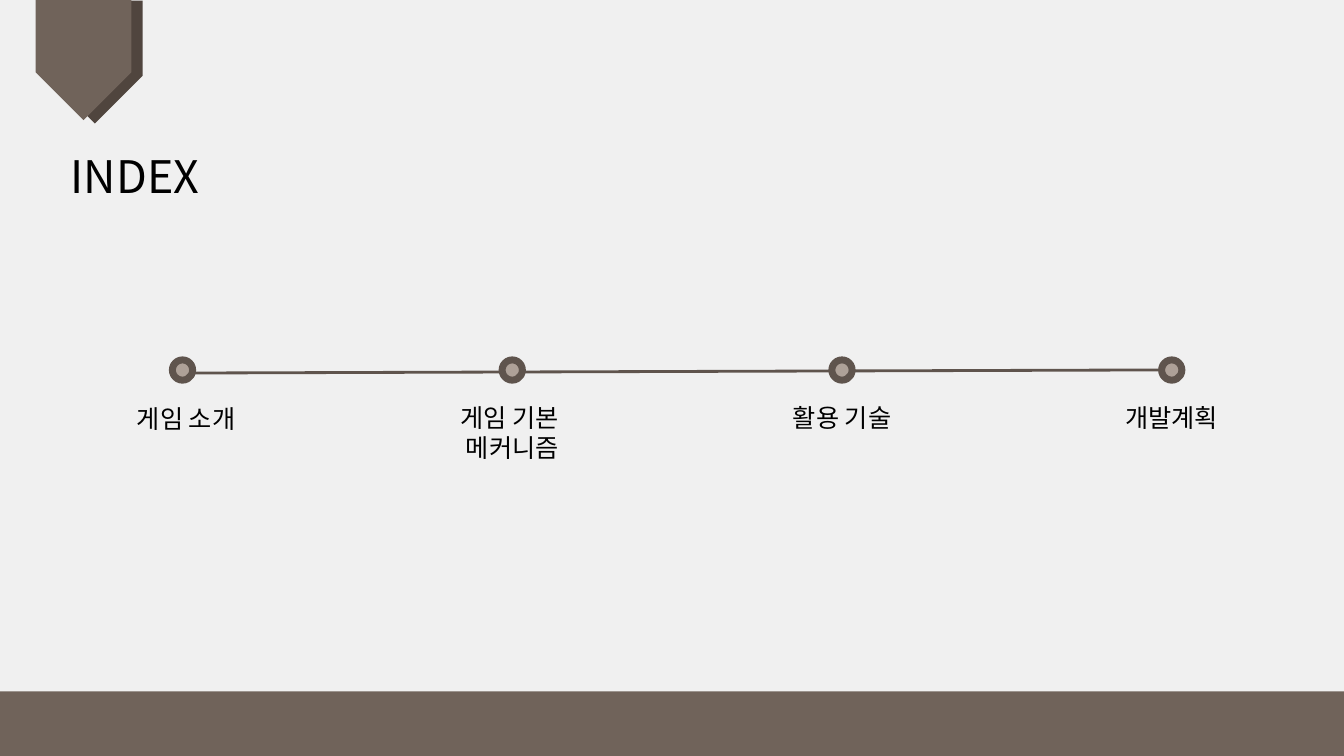
import dataclasses

import lxml.etree
import pptx
import pptx.dml.color
import pptx.enum.shapes
import pptx.enum.text
import pptx.oxml.ns
import pptx.util

Cm = pptx.util.Cm
Pt = pptx.util.Pt
Shape = pptx.enum.shapes.MSO_SHAPE


@dataclasses.dataclass(frozen=True)
class Theme:
    font: str = "Noto Sans CJK KR"
    background: str = "F0F0F0"
    brown: str = "70635A"
    ribbon_shade: str = "50453E"
    timeline: str = "5F544D"
    marker: str = "AEA198"
    text: str = "000000"
    title_size: int = 32
    label_size: int = 18
    line_width: int = 2
    marker_outline: int = 5


THEME = Theme()
MARKER_SIZE = 0.51
FIRST_CENTRE = 4.6
CENTRE_STEP = 8.31
MARKER_TOP = 9.07
TOPICS = [
    (["게임 소개"], 3.48, 0.09, 10.03),
    (["게임 기본 ", "메커니즘"], 5.26, 0, 10.01),
    (["활용 기술"], 3.48, 0, 10.01),
    (["개발계획"], 3.48, 0, 10.01),
]


def color(value):
    return pptx.dml.color.RGBColor.from_string(value)


def add_filled(slide, kind, left, top, width, height, fill):
    shape = slide.shapes.add_shape(kind, Cm(left), Cm(top), Cm(width), Cm(height))
    shape.shadow.inherit = False
    shape.fill.solid()
    shape.fill.fore_color.rgb = color(fill)
    shape.line.fill.background()
    return shape


def add_ribbon(slide, left, top, length, fill):
    ribbon = add_filled(slide, Shape.PENTAGON, left, top, length, 2.41, fill)
    ribbon.rotation = 90


def add_marker(slide, centre):
    marker = add_filled(slide, Shape.OVAL, centre - MARKER_SIZE / 2, MARKER_TOP,
                        MARKER_SIZE, MARKER_SIZE, THEME.marker)
    marker.line.color.rgb = color(THEME.timeline)
    marker.line.width = Pt(THEME.marker_outline)


def add_timeline(slide):
    line = slide.shapes.add_connector(pptx.enum.shapes.MSO_CONNECTOR.STRAIGHT,
                                      Cm(4.67), Cm(9.4), Cm(29.77), Cm(9.32))
    line.line.color.rgb = color(THEME.timeline)
    line.line.width = Pt(THEME.line_width)
    properties = line._element.spPr
    lxml.etree.SubElement(properties, pptx.oxml.ns.qn("a:effectLst"))


def add_text(slide, lines, left, top, width, height, size):
    box = slide.shapes.add_textbox(Cm(left), Cm(top), Cm(width), Cm(height))
    frame = box.text_frame
    frame.word_wrap = True
    frame.auto_size = pptx.enum.text.MSO_AUTO_SIZE.SHAPE_TO_FIT_TEXT
    frame.text = "\n".join(lines)
    for paragraph in frame.paragraphs:
        paragraph.alignment = pptx.enum.text.PP_ALIGN.CENTER
        font = paragraph.font
        font.size = Pt(size)
        font.color.rgb = color(THEME.text)
        font.name = THEME.font
        east_asian = lxml.etree.SubElement(font._element, pptx.oxml.ns.qn("a:ea"))
        east_asian.set("typeface", THEME.font)


def main():
    presentation = pptx.Presentation()
    presentation.slide_width = Cm(33.87)
    presentation.slide_height = Cm(19.05)
    slide = presentation.slides.add_slide(presentation.slide_layouts[6])

    add_filled(slide, Shape.RECTANGLE, 0, 0, 33.87, 19.05, THEME.background)
    add_ribbon(slide, 0.84, 0.36, 3.1, THEME.ribbon_shade)
    add_ribbon(slide, 0.58, 0.3, 3.05, THEME.brown)
    add_text(slide, ["INDEX"], 0.89, 3.63, 5.03, 1.63, THEME.title_size)

    add_timeline(slide)
    centres = [FIRST_CENTRE + index * CENTRE_STEP for index in range(len(TOPICS))]
    for centre in centres:
        add_marker(slide, centre)
    for centre, (lines, width, shift, top) in zip(centres, TOPICS):
        height = 0.23 + 0.79 * len(lines)
        add_text(slide, lines, centre + shift - width / 2, top, width, height,
                 THEME.label_size)

    add_filled(slide, Shape.RECTANGLE, -0.15, 17.42, 34.02, 1.63, THEME.brown)
    presentation.save("out.pptx")


main()
